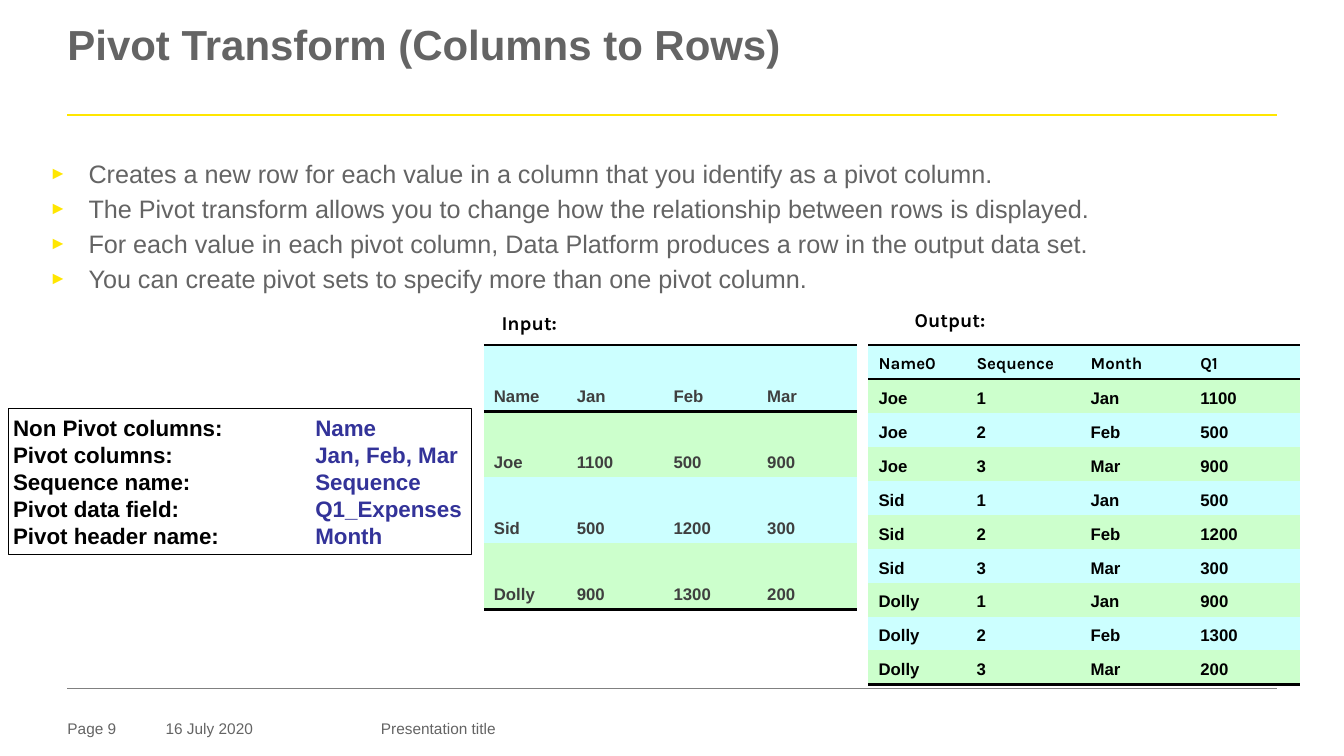
from dataclasses import dataclass

from lxml.etree import SubElement
from pptx import Presentation
from pptx.dml.color import RGBColor
from pptx.enum.shapes import MSO_CONNECTOR, MSO_SHAPE
from pptx.enum.text import MSO_ANCHOR, PP_ALIGN
from pptx.oxml.ns import qn
from pptx.util import Emu, Inches, Pt

COLORS = {
    "grey": "646464", "dark": "3F3F3F", "black": "000000", "blue": "333399",
    "yellow": "FFE600", "rule": "808080", "cyan": "CCFFFF", "green": "CCFFCC",
}
SLIDE_WIDTH, SLIDE_HEIGHT = Inches(13.34), Inches(7.5)
MARGIN, MARGIN_RIGHT = 5.02, 95


def across(percent: float) -> Emu:
    """Share of the slide's width."""
    return Emu(round(SLIDE_WIDTH * percent / 100))


def down(percent: float) -> Emu:
    """Share of the slide's height."""
    return Emu(round(SLIDE_HEIGHT * percent / 100))


@dataclass
class Style:
    size: float
    color: str
    bold: bool = False
    font: str = "Arial"


@dataclass
class Label:
    text: str
    left: float
    top: float
    width: float
    height: float
    style: Style
    wrap: bool = True
    inset: bool = False


@dataclass
class Rule:
    top: float
    color: str
    weight: float


@dataclass
class Grid:
    left: float
    top: float
    columns: list[float]
    row_height: float
    line_spacing: float
    header: Style
    body: Style
    rows: list[list[str]]


# Content
FOOTER = Style(11, "grey")
CAPTION = Style(14, "black", True, "Karla")
LABELS = [
    Label("Page 9", MARGIN, 95.07, 7.27, 2.93, FOOTER),
    Label("16 July 2020", 12.32, 95.07, 10.27, 2.93, FOOTER),
    Label("Presentation title", 28.34, 95.07, 27.14, 2.93, FOOTER),
    Label("Pivot Transform (Columns to Rows)", MARGIN, 3.47, 90.03, 6.67, Style(30, "grey", True)),
    Label("Input:", 36.58, 40.53, 6.15, 4.4, CAPTION, False, True),
    Label("Output:", 67.32, 40.1, 7.2, 4.4, CAPTION, False, True),
]
RULES = [Rule(15.2, "yellow", 1.5), Rule(91.07, "rule", 0.25)]
BULLETS = [
    "Creates a new row for each value in a column that you identify as a pivot column.",
    "The Pivot transform allows you to change how the relationship between rows is displayed.",
    "For each value in each pivot column, Data Platform produces a row in the output data set.",
    "You can create pivot sets to specify more than one pivot column.",
]
SETTINGS = {
    "Non Pivot columns:": "Name",
    "Pivot columns:": "Jan, Feb, Mar",
    "Sequence name:": "Sequence",
    "Pivot data field:": "Q1_Expenses",
    "Pivot header name:": "Month",
}
MONTHS = ["Jan", "Feb", "Mar"]
EXPENSES = {
    "Joe": ["1100", "500", "900"],
    "Sid": ["500", "1200", "300"],
    "Dolly": ["900", "1300", "200"],
}
INPUT_ROWS = [["Name", *MONTHS]] + [[name, *values] for name, values in EXPENSES.items()]
OUTPUT_ROWS = [["Name0", "Sequence", "Month", "Q1"]] + [
    [name, str(number), month, value]
    for name, values in EXPENSES.items()
    for number, (month, value) in enumerate(zip(MONTHS, values), 1)
]
INPUT_STYLE = Style(12, "dark", True)
GRIDS = [
    Grid(36, 45.65, [6.17, 7.2, 6.97, 7.42], 8.74, 40, INPUT_STYLE, INPUT_STYLE, INPUT_ROWS),
    Grid(64.62, 45.65, [7.29, 8.49, 8.17, 8.17], 4.49, 17,
         Style(12, "black", True, "Karla"), Style(12, "black", True), OUTPUT_ROWS),
]


def rgb(name: str) -> RGBColor:
    return RGBColor.from_string(COLORS[name])


def format_span(span, style: Style) -> None:
    span.font.size = Pt(style.size)
    span.font.name = style.font
    span.font.bold = style.bold
    span.font.color.rgb = rgb(style.color)


def set_insets(frame, inset: Emu) -> None:
    frame.margin_left = frame.margin_right = inset
    frame.margin_top = frame.margin_bottom = inset


def draw_label(page, label: Label) -> None:
    box = page.shapes.add_textbox(across(label.left), down(label.top),
                                  across(label.width), down(label.height))
    frame = box.text_frame
    frame.text = label.text
    frame.word_wrap = label.wrap
    if not label.inset:
        set_insets(frame, Emu(0))
    format_span(frame.paragraphs[0].runs[0], label.style)
    if label.style.size == 30:
        frame.paragraphs[0].line_spacing = 0.85


def draw_rule(page, rule: Rule) -> None:
    line = page.shapes.add_connector(MSO_CONNECTOR.STRAIGHT, across(MARGIN), down(rule.top),
                                     across(MARGIN_RIGHT), down(rule.top))
    line.line.color.rgb = rgb(rule.color)
    line.line.width = Pt(rule.weight)
    SubElement(line._element.spPr, qn("a:effectLst"))


def draw_bullets(page, texts: list[str]) -> None:
    box = page.shapes.add_textbox(across(3.67), down(20.95), across(91.75), down(18.67))
    frame = box.text_frame
    frame.text = "\n".join(texts)
    frame.word_wrap = True
    set_insets(frame, Emu(0))
    for para in frame.paragraphs:
        para.space_after = Pt(3.4)
        format_span(para.runs[0], Style(18, "grey"))
        properties = para._p.get_or_add_pPr()
        properties.set("marL", str(across(2.92)))
        properties.set("indent", str(-across(2.92)))
        color = SubElement(properties, qn("a:buClr"))
        SubElement(color, qn("a:srgbClr"), val=COLORS["yellow"])
        SubElement(properties, qn("a:buSzPct"), val="70000")
        SubElement(properties, qn("a:buFont"), typeface="Arial")
        SubElement(properties, qn("a:buChar"), char="►")


def draw_settings(page, settings: dict[str, str]) -> None:
    box = page.shapes.add_shape(MSO_SHAPE.RECTANGLE, across(0.6), down(54.05),
                                across(34.48), down(19.33))
    box.shadow.inherit = False
    box.fill.background()
    box.line.color.rgb = rgb("black")
    box.line.width = Pt(0.75)
    frame = box.text_frame
    frame.text = "\n".join(f"{name}\t" for name in settings)
    frame.word_wrap = True
    frame.vertical_anchor = MSO_ANCHOR.MIDDLE
    set_insets(frame, Inches(0.05))
    for para, value in zip(frame.paragraphs, settings.values()):
        para.alignment = PP_ALIGN.LEFT
        para.line_spacing = Pt(19.2)
        stops = SubElement(para._p.get_or_add_pPr(), qn("a:tabLst"))
        SubElement(stops, qn("a:tab"), pos=str(across(22.49)), algn="l")
        format_span(para.runs[0], Style(16, "black", True))
        span = para.add_run()
        span.text = value
        format_span(span, Style(16, "blue", True))


def set_borders(cell, sides: set[str]) -> None:
    properties = cell._tc.get_or_add_tcPr()
    for side in ("L", "R", "T", "B"):
        border = SubElement(properties, qn(f"a:ln{side}"), w=str(Pt(2.25)))
        if side in sides:
            fill = SubElement(border, qn("a:solidFill"))
            SubElement(fill, qn("a:srgbClr"), val=COLORS["black"])
        else:
            SubElement(border, qn("a:noFill"))


def draw_grid(page, grid: Grid) -> None:
    count = len(grid.rows)
    table = page.shapes.add_table(count, len(grid.columns), across(grid.left), down(grid.top),
                                  across(sum(grid.columns)), down(grid.row_height * count)).table
    table.first_row = table.horz_banding = False
    for column, width in zip(table.columns, grid.columns):
        column.width = across(width)
    for index, (row, texts) in enumerate(zip(table.rows, grid.rows)):
        row.height = down(grid.row_height)
        sides = {0: {"T", "B"}, 1: {"T"}, count - 1: {"B"}}.get(index, set())
        for cell, text in zip(row.cells, texts):
            cell.text_frame.text = text
            para = cell.text_frame.paragraphs[0]
            para.line_spacing = Pt(grid.line_spacing)
            format_span(para.runs[0], grid.body if index else grid.header)
            set_borders(cell, sides)
            cell.fill.solid()
            cell.fill.fore_color.rgb = rgb("green" if index % 2 else "cyan")


def main() -> None:
    deck = Presentation()
    deck.slide_width, deck.slide_height = SLIDE_WIDTH, SLIDE_HEIGHT
    page = deck.slides.add_slide(deck.slide_layouts[6])
    for rule in RULES:
        draw_rule(page, rule)
    for label in LABELS:
        draw_label(page, label)
    draw_bullets(page, BULLETS)
    for grid in GRIDS:
        draw_grid(page, grid)
    draw_settings(page, SETTINGS)
    deck.save("out.pptx")


if __name__ == "__main__":
    main()
